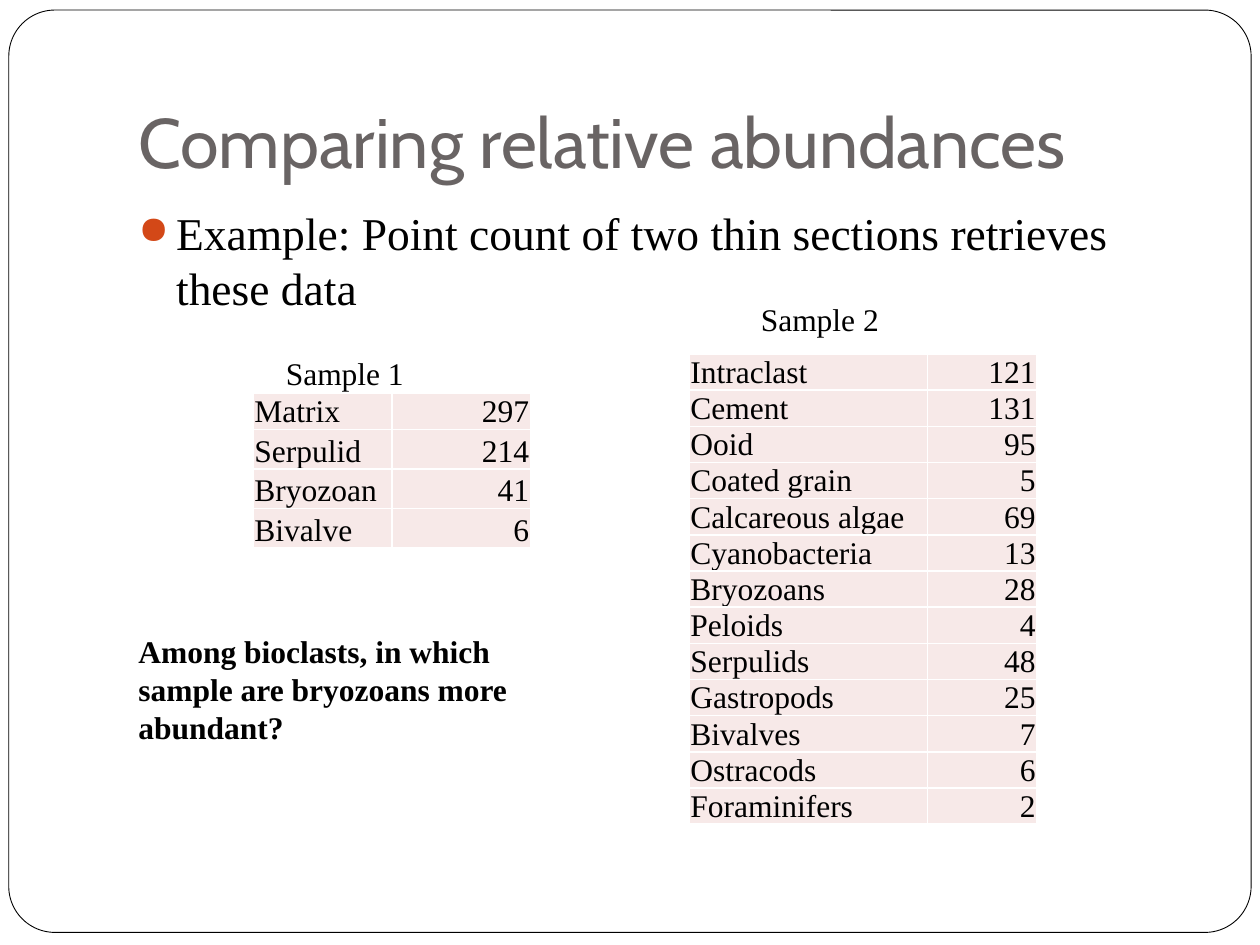
"""Build a slide that compares point counts of two thin sections."""
from dataclasses import dataclass, field

from lxml import etree
from pptx import Presentation
from pptx.dml.color import RGBColor
from pptx.enum.shapes import MSO_SHAPE
from pptx.enum.text import MSO_ANCHOR, MSO_AUTO_SIZE, PP_ALIGN
from pptx.oxml.ns import qn
from pptx.util import Pt

ROUND = MSO_SHAPE.ROUNDED_RECTANGLE
TOP, BOTTOM = MSO_ANCHOR.TOP, MSO_ANCHOR.BOTTOM
GROW, FIXED = MSO_AUTO_SIZE.SHAPE_TO_FIT_TEXT, MSO_AUTO_SIZE.NONE
LEFT, RIGHT = PP_ALIGN.LEFT, PP_ALIGN.RIGHT


@dataclass(frozen=True)
class Theme:
    head: str = "Cabin"
    body: str = "Times New Roman"
    ink: str = "000000"
    grey: str = "696464"
    dot: str = "D34817"
    cell: str = "F7E9E8"
    white: str = "FFFFFF"
    big: float = 40
    mid: float = 26
    small: float = 18


THEME = Theme()


@dataclass(frozen=True)
class Label:
    text: str
    box: tuple[float, float, float, float]
    size: float = THEME.small
    face: str = THEME.body
    color: str = THEME.ink
    bold: bool = False
    bullet: bool = False
    frame: dict = field(default_factory=dict)


@dataclass(frozen=True)
class Count:
    left: float
    top: float
    cols: tuple[float, float]
    first: float
    pitch: float
    data: dict[str, int]


LABELS = (
    Label("Comparing relative abundances", (72, 21.6, 612, 90), THEME.big,
          THEME.head, THEME.grey,
          frame={"vertical_anchor": BOTTOM, "margin_bottom": Pt(7.2)}),
    Label("Example: Point count of two thin sections retrieves these data",
          (72, 113.76, 612, 360), THEME.mid, bullet=True),
    Label("Sample 1", (156.24, 198.72, 91.44, 28.8),
          frame={"word_wrap": False, "auto_size": GROW}),
    Label("Sample 2", (427.68, 167.76, 91.44, 28.8),
          frame={"word_wrap": False, "auto_size": GROW}),
    Label("Among bioclasts, in which sample are bryozoans more abundant?",
          (72, 357.84, 260.64, 72.72), bold=True, frame={"auto_size": GROW}),
)

COUNTS = (
    Count(144.72, 224.64, (79.2, 79.2), 20.6, 22.6,
          {"Matrix": 297, "Serpulid": 214, "Bryozoan": 41, "Bivalve": 6}),
    Count(393.84, 202.32, (136.08, 62.64), 20.6, 20.6,
          {"Intraclast": 121, "Cement": 131, "Ooid": 95, "Coated grain": 5,
           "Calcareous algae": 69, "Cyanobacteria": 13, "Bryozoans": 28,
           "Peloids": 4, "Serpulids": 48, "Gastropods": 25, "Bivalves": 7,
           "Ostracods": 6, "Foraminifers": 2}),
)


def apply(item: object, values: dict) -> None:
    for name, value in values.items():
        setattr(item, name, value)


def write(para, text: str, size: float, face: str, color: str,
          bold: bool = False) -> None:
    run = para.add_run()
    run.text = text
    apply(run.font, {"size": Pt(size), "name": face, "bold": bold})
    run.font.color.rgb = RGBColor.from_string(color)


def mark(para) -> None:
    para.space_before = Pt(5.8)
    props = para._p.get_or_add_pPr()
    props.set("marL", str(Pt(21.6)))
    props.set("indent", str(-Pt(21.6)))
    tint = etree.SubElement(props, qn("a:buClr"))
    etree.SubElement(tint, qn("a:srgbClr"), val=THEME.dot)
    etree.SubElement(props, qn("a:buSzPct"), val="85000")
    etree.SubElement(props, qn("a:buChar"), char="●")


def border(cell) -> None:
    props = cell._tc.get_or_add_tcPr()
    for side in ("lnL", "lnR", "lnT", "lnB"):
        line = etree.SubElement(props, qn(f"a:{side}"), w=str(Pt(1)))
        fill = etree.SubElement(line, qn("a:solidFill"))
        etree.SubElement(fill, qn("a:srgbClr"), val=THEME.white)


def draw_frame(slide) -> None:
    shape = slide.shapes.add_shape(ROUND, Pt(5.04), Pt(5.76), Pt(709.92), Pt(527.04))
    shape.adjustments[0] = 0.05
    shape.shadow.inherit = False
    shape.fill.solid()
    shape.fill.fore_color.rgb = RGBColor.from_string(THEME.white)
    shape.line.color.rgb = RGBColor.from_string(THEME.ink)
    shape.line.width = Pt(0.5)


def draw_label(slide, label: Label) -> None:
    frame = slide.shapes.add_textbox(*map(Pt, label.box)).text_frame
    base = {"word_wrap": True, "auto_size": FIXED, "vertical_anchor": TOP}
    apply(frame, base | label.frame)
    para = frame.paragraphs[0]
    if label.bullet:
        mark(para)
    write(para, label.text, label.size, label.face, label.color, label.bold)


def draw_cell(cell, text: str, align: PP_ALIGN) -> None:
    border(cell)
    cell.fill.solid()
    cell.fill.fore_color.rgb = RGBColor.from_string(THEME.cell)
    apply(cell, {"vertical_anchor": BOTTOM, "margin_left": Pt(0.72),
                 "margin_right": Pt(0.72), "margin_top": Pt(0.72),
                 "margin_bottom": 0})
    para = cell.text_frame.paragraphs[0]
    para.alignment = align
    write(para, text, THEME.small, THEME.body, THEME.ink)


def draw_count(slide, count: Count) -> None:
    rows = len(count.data)
    high = count.first + count.pitch * (rows - 1)
    table = slide.shapes.add_table(rows, 2, Pt(count.left), Pt(count.top),
                                   Pt(sum(count.cols)), Pt(high)).table
    apply(table, {"first_row": False, "horz_banding": False})
    for col, width in zip(table.columns, count.cols):
        col.width = Pt(width)
    for row, (name, value) in enumerate(count.data.items()):
        table.rows[row].height = Pt(count.pitch if row else count.first)
        draw_cell(table.cell(row, 0), name, LEFT)
        draw_cell(table.cell(row, 1), str(value), RIGHT)


def main() -> None:
    deck = Presentation()
    apply(deck, {"slide_width": Pt(720), "slide_height": Pt(540)})
    slide = deck.slides.add_slide(deck.slide_layouts[6])
    draw_frame(slide)
    for label in LABELS[:2]:
        draw_label(slide, label)
    for count in COUNTS:
        draw_count(slide, count)
    for label in LABELS[2:]:
        draw_label(slide, label)
    deck.save("out.pptx")


if __name__ == "__main__":
    main()
